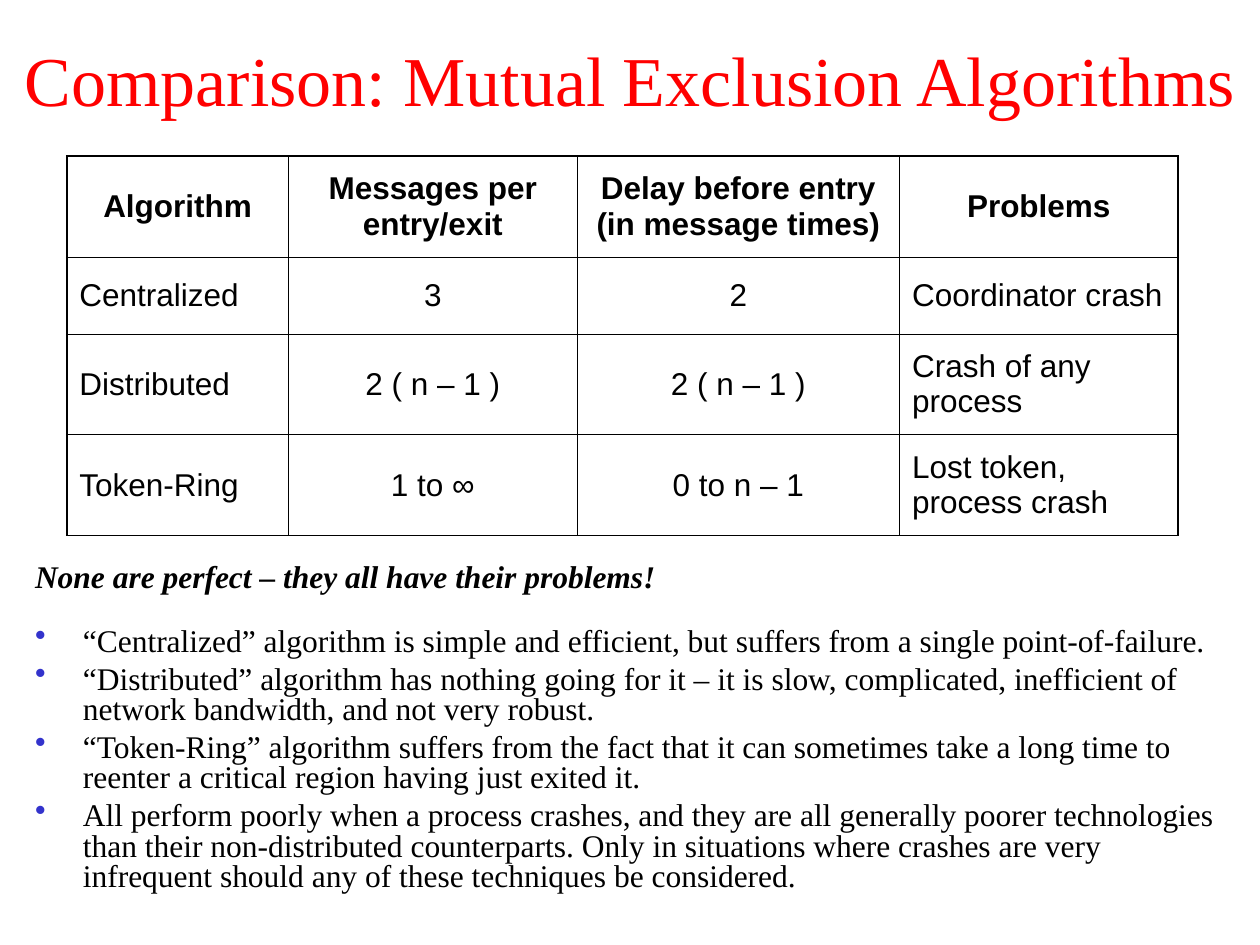
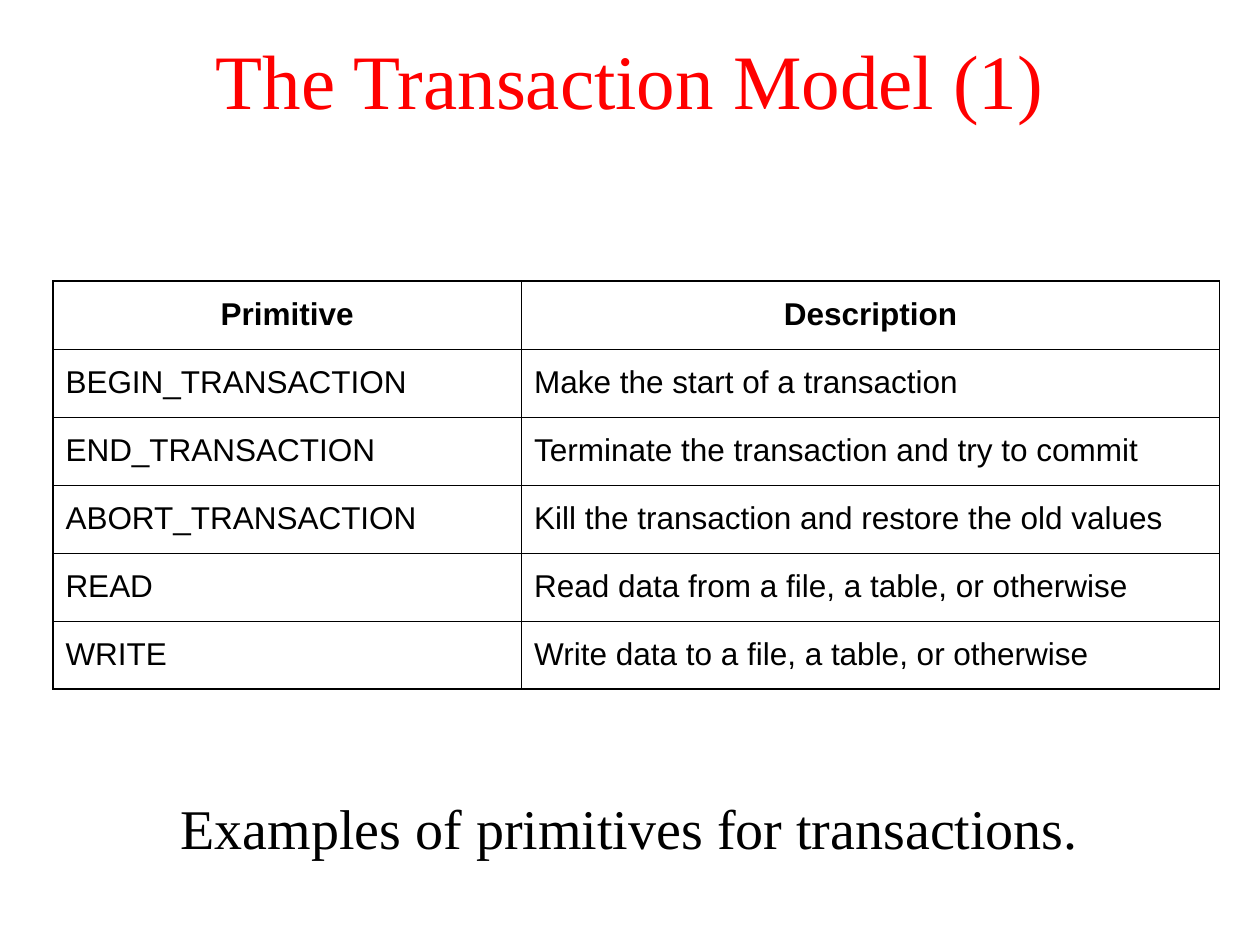
from lxml.etree import SubElement
from pptx import Presentation
from pptx.dml.color import RGBColor
from pptx.enum.text import MSO_ANCHOR, MSO_AUTO_SIZE, PP_ALIGN
from pptx.oxml import parse_xml
from pptx.oxml.ns import nsdecls, qn
from pptx.util import Inches, Pt

COLORS = {"title": "FF0000", "text": "000000", "bullet": "3333CC"}
SERIF, SANS = "Times New Roman", "Arial"
ALIGN = {"l": PP_ALIGN.LEFT, "c": PP_ALIGN.CENTER}
OUTER_LINE, INNER_LINE = 1.08, 0.45


def write(para, text, size=18, font=SERIF, color="text", bold=False,
          italic=False, align="l", before=0, spacing=None, hanging=0, bullet=False):
    """Put formatted text into one paragraph."""
    para.alignment = ALIGN[align]
    if before:
        para.space_before = Pt(before)
    if spacing:
        para.line_spacing = spacing
    properties = para._p.get_or_add_pPr()
    if hanging:
        properties.set("marL", str(Inches(hanging)))
        properties.set("indent", str(-Inches(hanging)))
    if bullet:
        bullet_color = SubElement(properties, qn("a:buClr"))
        SubElement(bullet_color, qn("a:srgbClr"), val=COLORS["bullet"])
        SubElement(properties, qn("a:buChar"), char="•")
    span = para.add_run()
    span.text = text
    span.font.size = Pt(size)
    span.font.name = font
    span.font.bold = bold
    span.font.italic = italic
    span.font.color.rgb = RGBColor.from_string(COLORS[color])


def set_borders(cell, widths):
    """Draw the cell's lines; widths come as left, right, top, bottom."""
    properties = cell._tc.get_or_add_tcPr()
    for index, (side, width) in enumerate(zip("LRTB", widths)):
        properties.insert(index, parse_xml(
            f'<a:ln{side} {nsdecls("a")} w="{Pt(width)}"><a:solidFill>'
            f'<a:srgbClr val="{COLORS["text"]}"/></a:solidFill></a:ln{side}>'))


class LectureDeck:
    def __init__(self):
        self.deck = Presentation()
        self.deck.slide_width, self.deck.slide_height = Inches(10), Inches(7.5)
        self.page = None

    def add_page(self, title, size):
        self.page = self.deck.slides.add_slide(self.deck.slide_layouts[5])
        box = self.page.shapes.title
        box.left, box.top = Inches(0), Inches(0)
        box.width, box.height = Inches(10), Inches(1.25)
        frame = box.text_frame
        frame.word_wrap = True
        frame.auto_size = MSO_AUTO_SIZE.NONE
        frame.vertical_anchor = MSO_ANCHOR.MIDDLE
        write(frame.paragraphs[0], title, size=size, color="title", align="c")

    def add_text(self, left, top, width, height, items):
        """Add a box of (text, format) paragraphs."""
        box = self.page.shapes.add_textbox(
            Inches(left), Inches(top), Inches(width), Inches(height))
        frame = box.text_frame
        frame.word_wrap = True
        for index, (text, style) in enumerate(items):
            para = frame.add_paragraph() if index else frame.paragraphs[0]
            write(para, text, **style)

    def add_grid(self, left, top, widths, heights, rows, aligns):
        """Add a table with a bold header row and a heavier outer frame."""
        table = self.page.shapes.add_table(
            len(rows), len(widths), Inches(left), Inches(top),
            Inches(sum(widths)), Inches(sum(heights))).table
        table.first_row = table.horz_banding = False
        for column, width in zip(table.columns, widths):
            column.width = Inches(width)
        last_row, last_column = len(rows) - 1, len(widths) - 1
        for r, texts in enumerate(rows):
            table.rows[r].height = Inches(heights[r])
            for c, text in enumerate(texts):
                cell = table.cell(r, c)
                cell.fill.background()
                cell.vertical_anchor = MSO_ANCHOR.MIDDLE
                write(cell.text_frame.paragraphs[0], text, font=SANS,
                      bold=r == 0, align=aligns[c] if r else "c")
                on_edge = (c == 0, c == last_column, r == 0, r == last_row)
                set_borders(cell, [OUTER_LINE if edge else INNER_LINE for edge in on_edge])


def build_comparison(lecture):
    lecture.add_page("Comparison: Mutual Exclusion Algorithms", 40)

    # Algorithm table
    lecture.add_grid(0.53, 1.24, [1.76, 2.29, 2.56, 2.21], [0.8, 0.61, 0.8, 0.8], [
        ["Algorithm", "Messages per entry/exit",
         "Delay before entry (in message times)", "Problems"],
        ["Centralized", "3", "2", "Coordinator crash"],
        ["Distributed", "2 ( n – 1 )", "2 ( n – 1 )", "Crash of any process"],
        ["Token-Ring", "1 to ∞", "0 to n – 1", "Lost token, process crash"],
    ], "lccl")

    # Verdict and remarks
    remarks = [
        "“Centralized” algorithm is simple and efficient, but suffers from a single "
        "point-of-failure.",
        "“Distributed” algorithm has nothing going for it – it is slow, complicated, "
        "inefficient of network bandwidth, and not very robust.",
        "“Token-Ring” algorithm suffers from the fact that it can sometimes take a long "
        "time to reenter a critical region having just exited it.",
        "All perform poorly when a process crashes, and they are all generally poorer "
        "technologies than their non-distributed counterparts. Only in situations where "
        "crashes are very infrequent should any of these techniques be considered.",
    ]
    common = dict(spacing=0.8, hanging=0.38)
    items = [("None are perfect – they all have their problems!",
              dict(common, bold=True, italic=True))]
    for index, remark in enumerate(remarks):
        items.append((remark, dict(common, bullet=True, before=4.5 if index else 19)))
    lecture.add_text(0.18, 4.43, 9.63, 2.97, items)


def build_transaction_model(lecture):
    lecture.add_page("The Transaction Model (1)", 44)

    # Primitive table
    primitives = [
        ["Primitive", "Description"],
        ["BEGIN_TRANSACTION", "Make the start of a transaction"],
        ["END_TRANSACTION", "Terminate the transaction and try to commit"],
        ["ABORT_TRANSACTION", "Kill the transaction and restore the old values"],
        ["READ", "Read data from a file, a table, or otherwise"],
        ["WRITE", "Write data to a file, a table, or otherwise"],
    ]
    lecture.add_grid(0.42, 2.23, [3.72, 5.54], [0.54] * len(primitives), primitives, "ll")

    # Caption
    lecture.add_text(0, 6.25, 10, 0.92, [
        ("Examples of primitives for transactions.", dict(size=32, align="c"))])


def main():
    lecture = LectureDeck()
    build_comparison(lecture)
    build_transaction_model(lecture)
    lecture.deck.save("out.pptx")


if __name__ == "__main__":
    main()
